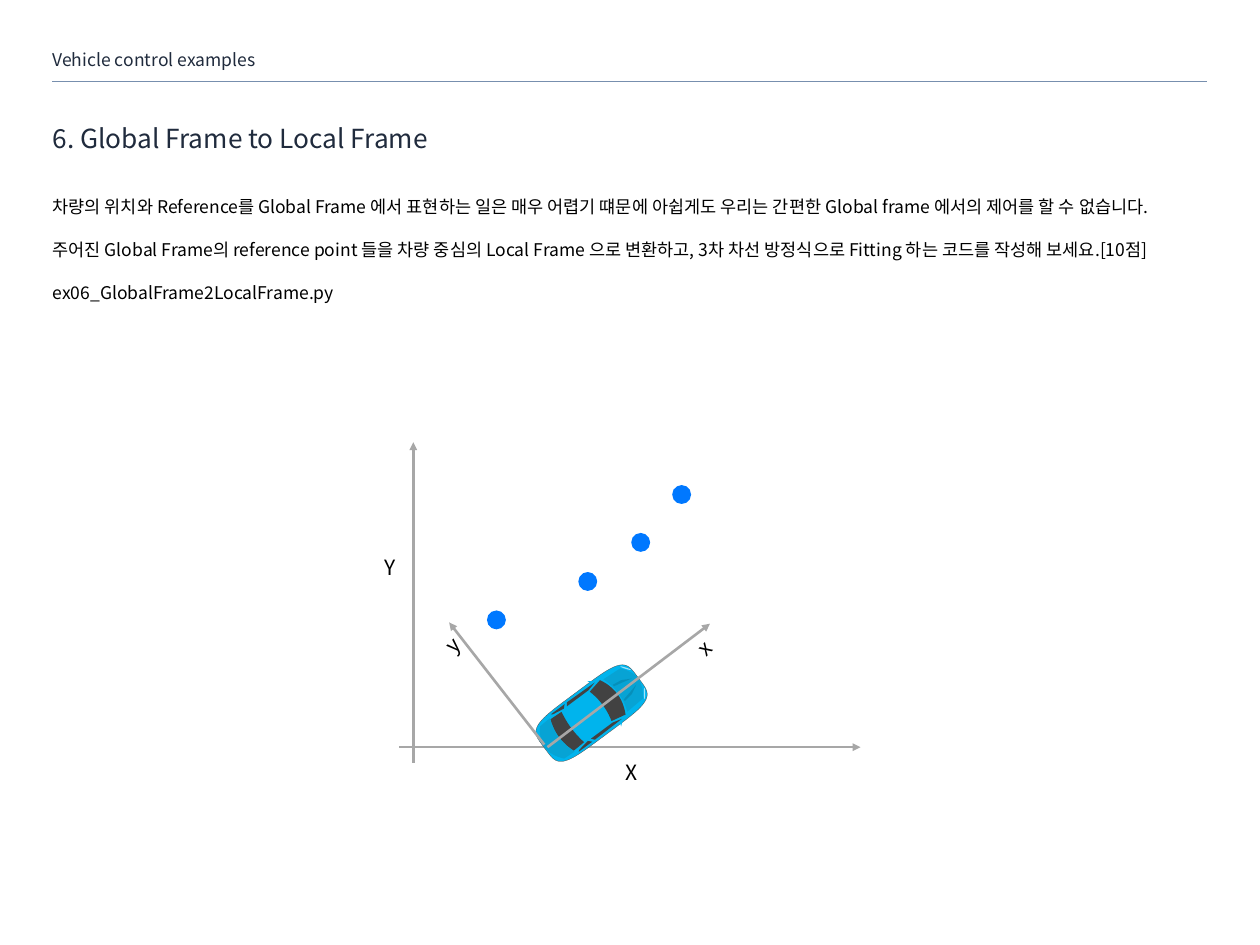
from dataclasses import dataclass
from math import cos, pi, radians, sin
from lxml.etree import SubElement
from pptx import Presentation
from pptx.dml.color import RGBColor
from pptx.enum.shapes import MSO_CONNECTOR, MSO_SHAPE
from pptx.enum.text import MSO_ANCHOR, PP_ALIGN
from pptx.oxml.ns import qn
from pptx.util import Inches, Pt


@dataclass(frozen=True)
class Theme:
    font: str = "Noto Sans CJK KR"
    heading: str = "202B3D"
    text: str = "000000"
    rule: str = "778FAE"
    axis: str = "A7A7A7"
    point: str = "0078FF"
    paint: str = "00B4ED"
    outline: str = "5B4036"
    glass: str = "424242"
    shade: str = "3C2A24"
    light: str = "FFFFFF"
    title_size: int = 30
    body_size: int = 20
    label_size: int = 24
    axis_width: float = 3
    hairline: float = 0.25
    shade_opacity: int = 12
    light_opacity: int = 63


THEME = Theme()
WIDTH, HEIGHT = 20, 15
COLUMN = WIDTH / 24
CONTENT = 22 * COLUMN
BODY_WIDTH = 18.1

HEADER = ["Vehicle control examples"]
TITLE = ["6. Global Frame to Local Frame"]
BODY = [
    "차량의 위치와 Reference를 Global Frame 에서 표현하는 일은 매우 어렵기 떄문에 아쉽게도 우리는 간편한 Global frame 에서의 제어를 할 수 없습니다.",
    "주어진 Global Frame의 reference point 들을 차량 중심의 Local Frame 으로 변환하고, 3차 차선 방정식으로 Fitting 하는 코드를 작성해 보세요.[10점]",
    "ex06_GlobalFrame2LocalFrame.py",
]
GLOBAL_AXES = [((6.34, 11.86), (13.66, 11.86)), ((6.56, 12.11), (6.56, 7.02))]
LOCAL_AXES = [((8.69, 11.86), (11.27, 9.9)), ((8.64, 11.82), (7.13, 9.88))]
GLOBAL_LABELS = [("Y", 6.2, 9.0), ("X", 10.03, 12.26)]
LOCAL_LABELS = [("x", 11.18, 10.28), ("y", 7.19, 10.23)]
LABEL_WIDTH, LABEL_HEIGHT = 1.17, 0.59
LOCAL_LABEL_TURN = -45
REFERENCE_POINTS = [(7.88, 9.84), (9.33, 9.23), (10.17, 8.61), (10.82, 7.85)]
POINT_SIZE = 0.3

CAR_CENTER = (9.39, 11.32)
CAR_HEADING = 36.6
CAR_HALF_LENGTH, CAR_HALF_WIDTH, CAR_ROUNDNESS = 0.93, 0.41, 4.6
WINDSHIELD = {"front": (0.51, 0.42, 0.34), "rear": (0.22, 0.18, 0.29)}
REAR_WINDOW = {"front": (-0.4, -0.37, 0.3), "rear": (-0.64, -0.58, 0.31)}
HOOD = {"front": (0.92, 0.79, 0.3), "rear": (0.53, 0.47, 0.32)}
TRUNK = {"front": (-0.65, -0.58, 0.33), "rear": (-0.92, -0.78, 0.32)}
SIDE_WINDOWS = [
    [(-0.26, 0.37), (-0.31, 0.32), (-0.5, 0.35), (-0.53, 0.37)],
    [(-0.21, 0.37), (-0.25, 0.32), (0.18, 0.32), (0.33, 0.36)],
]
MIRROR = [(0.31, 0.4), (0.27, 0.4), (0.25, 0.45)]
HOOD_CREASE = [(0.54, 0.16), (0.54, 0.13), (0.68, 0.1), (0.84, 0.06), (0.69, 0.14)]
HEADLIGHT, HEADLIGHT_SIZE, HEADLIGHT_TURN = (0.86, 0.25), (0.02, 0.18), 35.9


def paint(shape, color, opacity=100):
    shape.shadow.inherit = False
    shape.fill.solid()
    shape.fill.fore_color.rgb = RGBColor.from_string(color)
    shape.line.fill.background()
    if opacity < 100:
        tint = shape.fill._xPr.find(f".//{qn('a:srgbClr')}")
        SubElement(tint, qn("a:alpha"), val=str(opacity * 1000))


def add_text(page, lines, frame, size, color, spacing=1.0, before=0, inset=0,
             align=PP_ALIGN.LEFT, anchor=MSO_ANCHOR.TOP):
    box = page.shapes.add_textbox(*map(Inches, frame))
    text = box.text_frame
    text.word_wrap = True
    text.vertical_anchor = anchor
    text.margin_left = text.margin_right = text.margin_top = text.margin_bottom = Inches(inset)
    text.text = "\n".join(lines)
    for para in text.paragraphs:
        para.alignment, para.line_spacing, para.space_before = align, spacing, Pt(before)
        for span in para.runs:
            span.font.name, span.font.size = THEME.font, Pt(size)
            span.font.color.rgb = RGBColor.from_string(color)
            SubElement(span.font._element, qn("a:ea"), typeface=THEME.font)
    return box


def add_line(page, start, end, color, width, arrow=False):
    line = page.shapes.add_connector(MSO_CONNECTOR.STRAIGHT, *map(Inches, start + end))
    line.line.color.rgb = RGBColor.from_string(color)
    line.line.width = Pt(width)
    if arrow:
        SubElement(line.line._get_or_add_ln(), qn("a:tailEnd"), type="triangle")
    SubElement(line._element.spPr, qn("a:effectLst"))


def add_axes(page, axes, labels, turn=0):
    for start, end in axes:
        add_line(page, start, end, THEME.axis, THEME.axis_width, arrow=True)
    for letter, x, y in labels:
        frame = (x - LABEL_WIDTH / 2, y - LABEL_HEIGHT / 2, LABEL_WIDTH, LABEL_HEIGHT)
        box = add_text(page, [letter], frame, THEME.label_size, THEME.text,
                       inset=0.09, align=PP_ALIGN.CENTER)
        box.rotation = turn


def add_ellipse(page, center, size, color, opacity=100, turn=0):
    (x, y), (width, height) = center, size
    frame = (x - width / 2, y - height / 2, width, height)
    ellipse = page.shapes.add_shape(MSO_SHAPE.OVAL, *map(Inches, frame))
    ellipse.rotation = turn
    paint(ellipse, color, opacity)


def local_to_global(forward, right):
    heading = radians(CAR_HEADING)
    return (CAR_CENTER[0] + forward * cos(heading) + right * sin(heading),
            CAR_CENTER[1] - forward * sin(heading) + right * cos(heading))


def signed_power(value, exponent):
    return abs(value) ** exponent * (1 if value >= 0 else -1)


def rounded_body(steps=96):
    angles = [2 * pi * step / steps for step in range(steps)]
    return [(CAR_HALF_LENGTH * signed_power(cos(angle), 2 / CAR_ROUNDNESS),
             CAR_HALF_WIDTH * signed_power(sin(angle), 2 / CAR_ROUNDNESS)) for angle in angles]


def bowed_edge(middle, corner, half_width, steps=16):
    shares = [2 * step / steps - 1 for step in range(steps + 1)]
    return [(middle + (corner - middle) * share ** 2, half_width * share) for share in shares]


def curved_panel(panel):
    return bowed_edge(*panel["front"]) + bowed_edge(*panel["rear"])[::-1]


def mirrored(outline, side):
    return [(forward, side * right) for forward, right in outline]


def add_car_part(page, outline, color, opacity=100):
    first, *rest = [tuple(map(Inches, local_to_global(*point))) for point in outline]
    builder = page.shapes.build_freeform(*first)
    builder.add_line_segments(rest, close=True)
    part = builder.convert_to_shape()
    paint(part, color, opacity)
    return part


def add_car(page):
    body = add_car_part(page, rounded_body(), THEME.paint)
    body.line.color.rgb = RGBColor.from_string(THEME.outline)
    body.line.width = Pt(THEME.hairline)
    for window in (WINDSHIELD, REAR_WINDOW):
        add_car_part(page, curved_panel(window), THEME.glass)
    for panel in (HOOD, TRUNK):
        add_car_part(page, curved_panel(panel), THEME.shade, THEME.shade_opacity)
    for side in (-1, 1):
        for window in SIDE_WINDOWS:
            add_car_part(page, mirrored(window, side), THEME.glass)
        add_car_part(page, mirrored(MIRROR, side), THEME.paint)
        add_car_part(page, mirrored(HOOD_CREASE, side), THEME.text, THEME.shade_opacity)
        [lamp] = mirrored([HEADLIGHT], side)
        add_ellipse(page, local_to_global(*lamp), HEADLIGHT_SIZE, THEME.light,
                    THEME.light_opacity, side * HEADLIGHT_TURN - CAR_HEADING)


def main():
    deck = Presentation()
    deck.slide_width, deck.slide_height = Inches(WIDTH), Inches(HEIGHT)
    page = deck.slides.add_slide(deck.slide_layouts[6])
    add_line(page, (COLUMN, 1.29), (COLUMN + CONTENT, 1.29), THEME.rule, THEME.hairline)
    add_text(page, BODY, (COLUMN, 2.94, BODY_WIDTH, 3.55), THEME.body_size, THEME.text, 1.5, 13.5)
    add_text(page, TITLE, (COLUMN, 1.9, CONTENT, 0.65), THEME.title_size, THEME.heading, 0.9,
             anchor=MSO_ANCHOR.MIDDLE)
    add_text(page, HEADER, (COLUMN, 0.75, 15.52, 0.43), THEME.body_size, THEME.heading, 0.9,
             anchor=MSO_ANCHOR.MIDDLE)
    add_axes(page, GLOBAL_AXES, GLOBAL_LABELS)
    for point in REFERENCE_POINTS:
        add_ellipse(page, point, (POINT_SIZE, POINT_SIZE), THEME.point)
    add_car(page)
    add_axes(page, LOCAL_AXES, LOCAL_LABELS, LOCAL_LABEL_TURN)
    deck.save("out.pptx")


if __name__ == "__main__":
    main()
